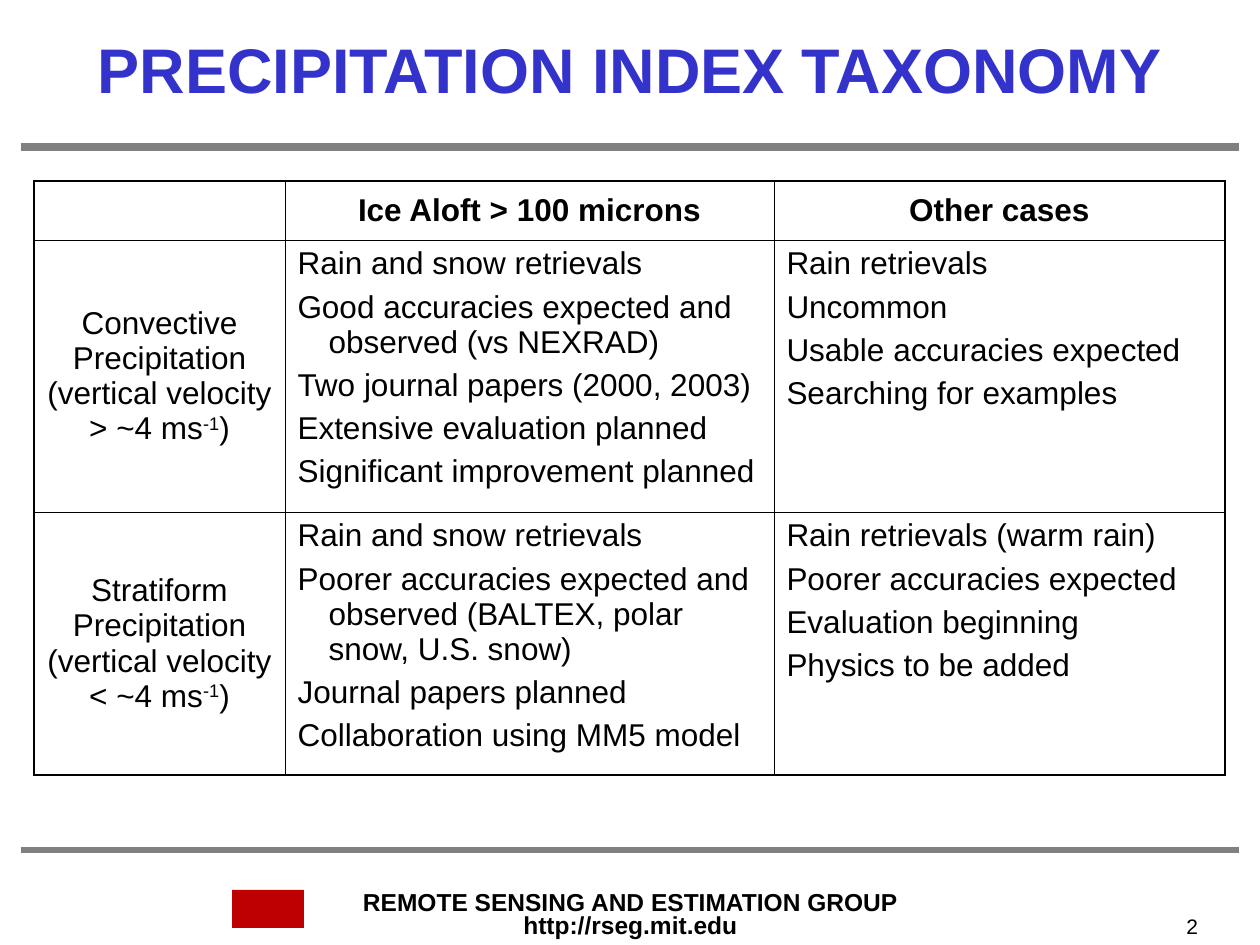
from pptx import Presentation
from pptx.dml.color import RGBColor
from pptx.enum.shapes import MSO_CONNECTOR as Connector, MSO_SHAPE as Shape
from pptx.enum.text import MSO_ANCHOR as Anchor, MSO_AUTO_SIZE as AutoSize, PP_ALIGN as Align
from pptx.oxml.ns import qn
from pptx.util import Pt
from lxml.etree import SubElement

EMU_PER_PX = 914400 / 126
COLORS = {"title": "3333CC", "text": "000000", "rule": "808080", "block": "BE0000"}
THIN, THICK = 0.45, 1.08
HANGING_INDENT = 31

COLUMN_WIDTHS = [251, 489, 451]
ROW_HEIGHTS = [59, 272, 263]
HEADERS = ["", "Ice Aloft > 100 microns", "Other cases"]
CATEGORIES = [
    ("Convective Precipitation (vertical velocity > ~4 ms",
     ["Rain and snow retrievals",
      "Good accuracies expected and observed (vs NEXRAD)",
      "Two journal papers (2000, 2003)",
      "Extensive evaluation planned",
      "Significant improvement planned"],
     ["Rain retrievals", "Uncommon", "Usable accuracies expected",
      "Searching for examples"]),
    ("Stratiform Precipitation (vertical velocity < ~4 ms",
     ["Rain and snow retrievals",
      "Poorer accuracies expected and observed (BALTEX, polar snow, U.S. snow)",
      "Journal papers planned",
      "Collaboration using MM5 model"],
     ["Rain retrievals (warm rain)", "Poorer accuracies expected",
      "Evaluation beginning", "Physics to be added"]),
]


def px(value):
    return round(value * EMU_PER_PX)


def color(name):
    return RGBColor.from_string(COLORS[name])


def add_run(paragraph, text, size=18, bold=False, tint="text"):
    run = paragraph.add_run()
    run.text = text
    run.font.size = Pt(size)
    run.font.bold = bold
    run.font.name = "Arial"
    run.font.color.rgb = color(tint)
    return run


def add_title(slide, text):
    title = slide.shapes.title
    title.left, title.top, title.width, title.height = 0, 0, px(1260), px(136)
    frame = title.text_frame
    frame.auto_size = AutoSize.NONE
    frame.vertical_anchor = Anchor.MIDDLE
    frame.paragraphs[0].alignment = Align.CENTER
    add_run(frame.paragraphs[0], text, 36, True, "title")


def add_rule(slide, y, weight):
    rule = slide.shapes.add_connector(Connector.STRAIGHT, px(21), px(y), px(1239), px(y))
    rule.line.color.rgb = color("rule")
    rule.line.width = Pt(weight)
    SubElement(rule._element.spPr, qn("a:effectLst"))


def add_block(slide, box):
    block = slide.shapes.add_shape(Shape.RECTANGLE, *map(px, box))
    block.shadow.inherit = False
    block.fill.solid()
    block.fill.fore_color.rgb = color("block")
    block.line.fill.background()


def add_label(slide, box, lines, align, wrap=True, spacing=None, **style):
    frame = slide.shapes.add_textbox(*map(px, box)).text_frame
    frame.word_wrap = wrap
    for index, line in enumerate(lines):
        paragraph = frame.add_paragraph() if index else frame.paragraphs[0]
        paragraph.alignment = align
        if spacing:
            paragraph.line_spacing = spacing
        add_run(paragraph, line, **style)


def set_borders(cell, weights):
    properties = cell._tc.get_or_add_tcPr()
    for side in "LRTB":
        line = SubElement(properties, qn(f"a:ln{side}"), w=str(Pt(weights[side])))
        fill = SubElement(line, qn("a:solidFill"))
        SubElement(fill, qn("a:srgbClr"), val=COLORS["text"])


def start_centered(cell):
    cell.vertical_anchor = Anchor.MIDDLE
    paragraph = cell.text_frame.paragraphs[0]
    paragraph.alignment = Align.CENTER
    return paragraph


def fill_header(cell, text):
    paragraph = start_centered(cell)
    if text:
        add_run(paragraph, text, bold=True)


def fill_category(cell, text):
    paragraph = start_centered(cell)
    add_run(paragraph, text)
    exponent = add_run(paragraph, "-1")
    exponent._r.get_or_add_rPr().set("baseline", "30000")
    add_run(paragraph, ")")


def fill_points(cell, points, indent=0):
    frame = cell.text_frame
    for index, point in enumerate(points):
        paragraph = frame.add_paragraph() if index else frame.paragraphs[0]
        if index:
            paragraph.space_before = Pt(4.5)
        if indent:
            properties = paragraph._p.get_or_add_pPr()
            properties.set("marL", str(px(indent)))
            properties.set("indent", str(-px(indent)))
        add_run(paragraph, point)


def add_taxonomy_table(slide):
    row_count, column_count = len(ROW_HEIGHTS), len(COLUMN_WIDTHS)
    box = (34, 181, sum(COLUMN_WIDTHS), sum(ROW_HEIGHTS))
    table = slide.shapes.add_table(row_count, column_count, *map(px, box)).table
    table.first_row = table.horz_banding = False
    for column, width in zip(table.columns, COLUMN_WIDTHS):
        column.width = px(width)
    for row, height in zip(table.rows, ROW_HEIGHTS):
        row.height = px(height)

    # Outer edges are thick, inner edges thin
    for r in range(row_count):
        for c in range(column_count):
            outer = {"L": c == 0, "R": c == column_count - 1,
                     "T": r == 0, "B": r == row_count - 1}
            cell = table.cell(r, c)
            set_borders(cell, {side: THICK if edge else THIN for side, edge in outer.items()})
            cell.fill.background()

    # Cell contents
    for c, header in enumerate(HEADERS):
        fill_header(table.cell(0, c), header)
    for r, (category, ice_points, other_points) in enumerate(CATEGORIES, start=1):
        fill_category(table.cell(r, 0), category)
        fill_points(table.cell(r, 1), ice_points, HANGING_INDENT)
        fill_points(table.cell(r, 2), other_points)


def main():
    presentation = Presentation()
    presentation.slide_width, presentation.slide_height = px(1260), px(945)
    slide = presentation.slides.add_slide(presentation.slide_layouts[5])

    # Footer
    add_block(slide, (232, 890, 72, 38))
    add_label(slide, (349, 886, 563, 60),
              ["REMOTE SENSING AND ESTIMATION GROUP", "http://rseg.mit.edu"],
              Align.CENTER, wrap=False, spacing=0.8, size=14, bold=True)
    add_label(slide, (1174, 907, 80, 38), ["2"], Align.LEFT, size=12)

    # Rules, title and table
    add_rule(slide, 850, 3)
    add_rule(slide, 147, 4.5)
    add_title(slide, "PRECIPITATION INDEX TAXONOMY")
    add_taxonomy_table(slide)

    presentation.save("out.pptx")


if __name__ == "__main__":
    main()
